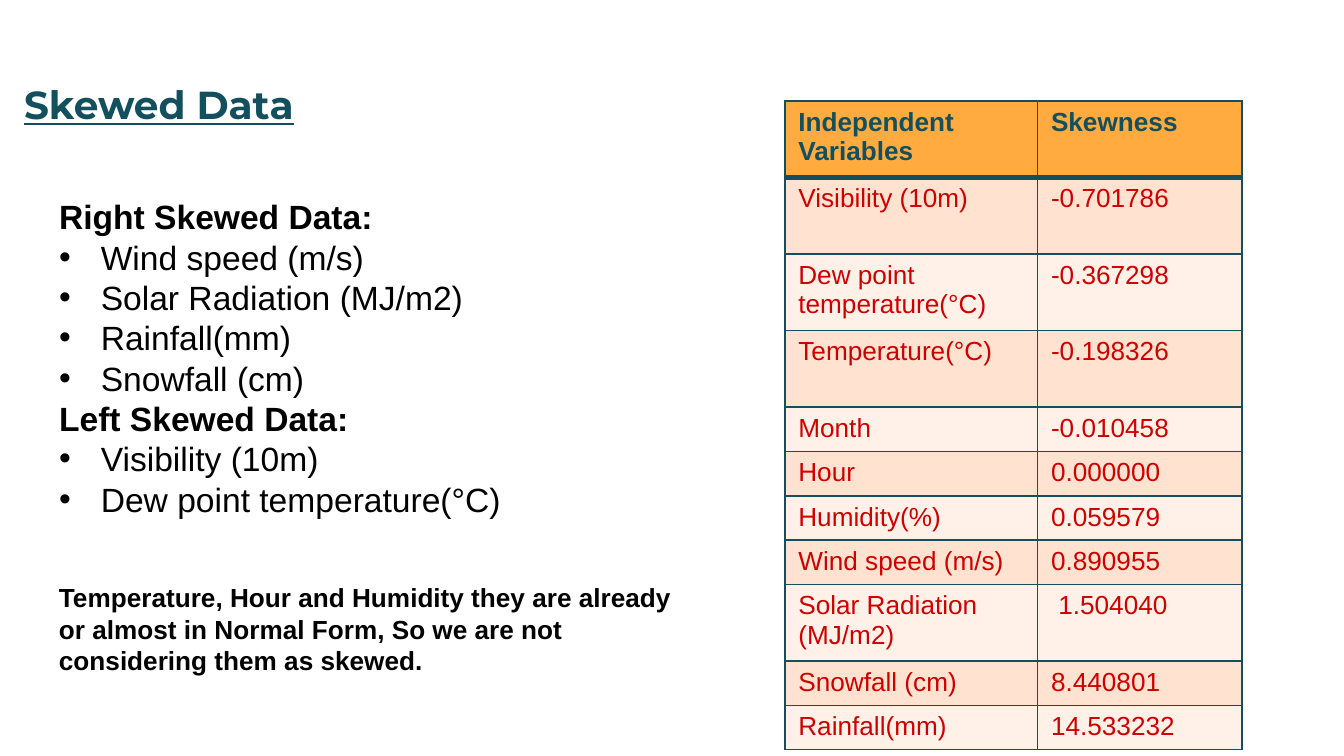
from lxml import etree
from pptx import Presentation
from pptx.dml.color import RGBColor
from pptx.enum.text import MSO_ANCHOR, MSO_AUTO_SIZE, PP_ALIGN
from pptx.oxml.ns import qn
from pptx.util import Inches, Pt

BOTTOM, TOP = MSO_ANCHOR.BOTTOM, MSO_ANCHOR.TOP
LEFT = PP_ALIGN.LEFT
FIXED = MSO_AUTO_SIZE.NONE

TEAL, RED, BLACK = "134F5C", "CC0000", "000000"
ORANGE, PEACH, CREAM = "FFAB40", "FFE2CF", "FFF1E8"

GROUPS = [
    ("Right Skewed Data:", ["Wind speed (m/s)", "Solar Radiation (MJ/m2)",
                            "Rainfall(mm)", "Snowfall (cm)"]),
    ("Left Skewed Data:", ["Visibility (10m)", "Dew point temperature(°C)"]),
]
NOTE = [
    "Temperature, Hour and Humidity they are already",
    "or almost in Normal Form, So we are not",
    "considering them as skewed.",
]
TALL, SHORT = 0.57, 0.33
ROWS = [
    ("Independent Variables", "Skewness", TALL),
    ("Visibility (10m)", "-0.701786", TALL),
    ("Dew point temperature(°C)", "-0.367298", TALL),
    ("Temperature(°C)", "-0.198326", TALL),
    ("Month", "-0.010458", SHORT),
    ("Hour", "0.000000", SHORT),
    ("Humidity(%)", "0.059579", SHORT),
    ("Wind speed (m/s)", "0.890955", SHORT),
    ("Solar Radiation (MJ/m2)", " 1.504040", TALL),
    ("Snowfall (cm)", "8.440801", SHORT),
    ("Rainfall(mm)", "14.533232", SHORT),
]


def color(text):
    return RGBColor.from_string(text)


class Deck:
    """Holds the text style and the current slide."""

    font = "Arial"

    def __init__(self, slide):
        self.slide = slide

    def run(self, para, text, size, tint=BLACK, bold=False, font=None):
        run = para.add_run()
        run.text = text
        face = run.font
        face.name, face.size, face.bold = font or self.font, Pt(size), bold
        face.color.rgb = color(tint)
        return run

    def place(self, shape, left, top, width, height):
        shape.left, shape.top = Inches(left), Inches(top)
        shape.width, shape.height = Inches(width), Inches(height)
        frame = shape.text_frame
        frame.word_wrap, frame.auto_size = True, FIXED
        return frame

    def line(self, frame, first):
        para = frame.paragraphs[0] if first else frame.add_paragraph()
        para.alignment = LEFT
        para.space_before = Pt(0)
        return para

    def bullet(self, para, char):
        """Set a hanging bullet, or none if char is empty."""
        props = para._p.get_or_add_pPr()
        indent = Inches(0.31) if char else 0
        props.set("marL", str(indent))
        props.set("indent", str(-indent))
        if char:
            tint = etree.SubElement(props, qn("a:buClr"))
            etree.SubElement(tint, qn("a:srgbClr"), val=BLACK)
            etree.SubElement(props, qn("a:buFont"), typeface=self.font)
            etree.SubElement(props, qn("a:buChar"), char=char)
        else:
            etree.SubElement(props, qn("a:buNone"))

    def title(self, text):
        frame = self.place(self.slide.shapes.title, 0.08, 0.48, 9.31, 0.57)
        frame.vertical_anchor = BOTTOM
        frame.margin_top = frame.margin_bottom = Inches(0.1)
        para = frame.paragraphs[0]
        para.alignment = LEFT
        run = self.run(para, text, 36, TEAL, True, "Montserrat")
        run.font.underline = True
        run._r.get_or_add_rPr().set("baseline", "-25000")

    def body(self, groups):
        frame = self.place(self.slide.placeholders[1], 0.34, 1.11, 3.59, 3.43)
        frame.vertical_anchor = TOP
        frame.margin_top = Inches(0.35)
        first = True
        for head, items in groups:
            for text in [head, *items]:
                para = self.line(frame, first)
                self.bullet(para, "" if text == head else "•")
                self.run(para, text, 18, bold=text == head)
                first = False

    def note(self, lines):
        box = self.slide.shapes.add_textbox(0, 0, 0, 0)
        frame = self.place(box, 0.34, 4.28, 4.78, 1.04)
        for i, text in enumerate(lines):
            self.run(self.line(frame, i == 0), text, 14, bold=True)

    def border(self, cell, top, bottom):
        props = cell._tc.get_or_add_tcPr()
        sides = {"a:lnL": 1, "a:lnR": 1, "a:lnT": top, "a:lnB": bottom}
        for i, (tag, width) in enumerate(sides.items()):
            edge = etree.Element(qn(tag), w=str(Pt(width)))
            fill = etree.SubElement(edge, qn("a:solidFill"))
            etree.SubElement(fill, qn("a:srgbClr"), val=TEAL)
            props.insert(i, edge)

    def table(self, rows, widths):
        height = sum(row[-1] for row in rows)
        grid = self.slide.shapes.add_table(
            len(rows), len(widths), Inches(5.84), Inches(0.75),
            Inches(sum(widths)), Inches(height)).table
        for col, width in zip(grid.columns, widths):
            col.width = Inches(width)
        for r, (*texts, tall) in enumerate(rows):
            grid.rows[r].height = Inches(tall)
            head = r == 0
            fill = ORANGE if head else PEACH if r % 2 else CREAM
            for c, text in enumerate(texts):
                cell = grid.cell(r, c)
                cell.fill.solid()
                cell.fill.fore_color.rgb = color(fill)
                self.run(cell.text_frame.paragraphs[0], text, 14,
                         TEAL if head else RED, head)
                self.border(cell, 3 if r == 1 else 1, 3 if head else 1)


def main():
    prs = Presentation()
    prs.slide_width = Inches(10)
    prs.slide_height = prs.slide_width * 9 // 16
    deck = Deck(prs.slides.add_slide(prs.slide_layouts[1]))
    deck.title("Skewed Data")
    deck.body(GROUPS)
    deck.note(NOTE)
    deck.table(ROWS, [1.88, 1.52])
    prs.save("out.pptx")


if __name__ == "__main__":
    main()
